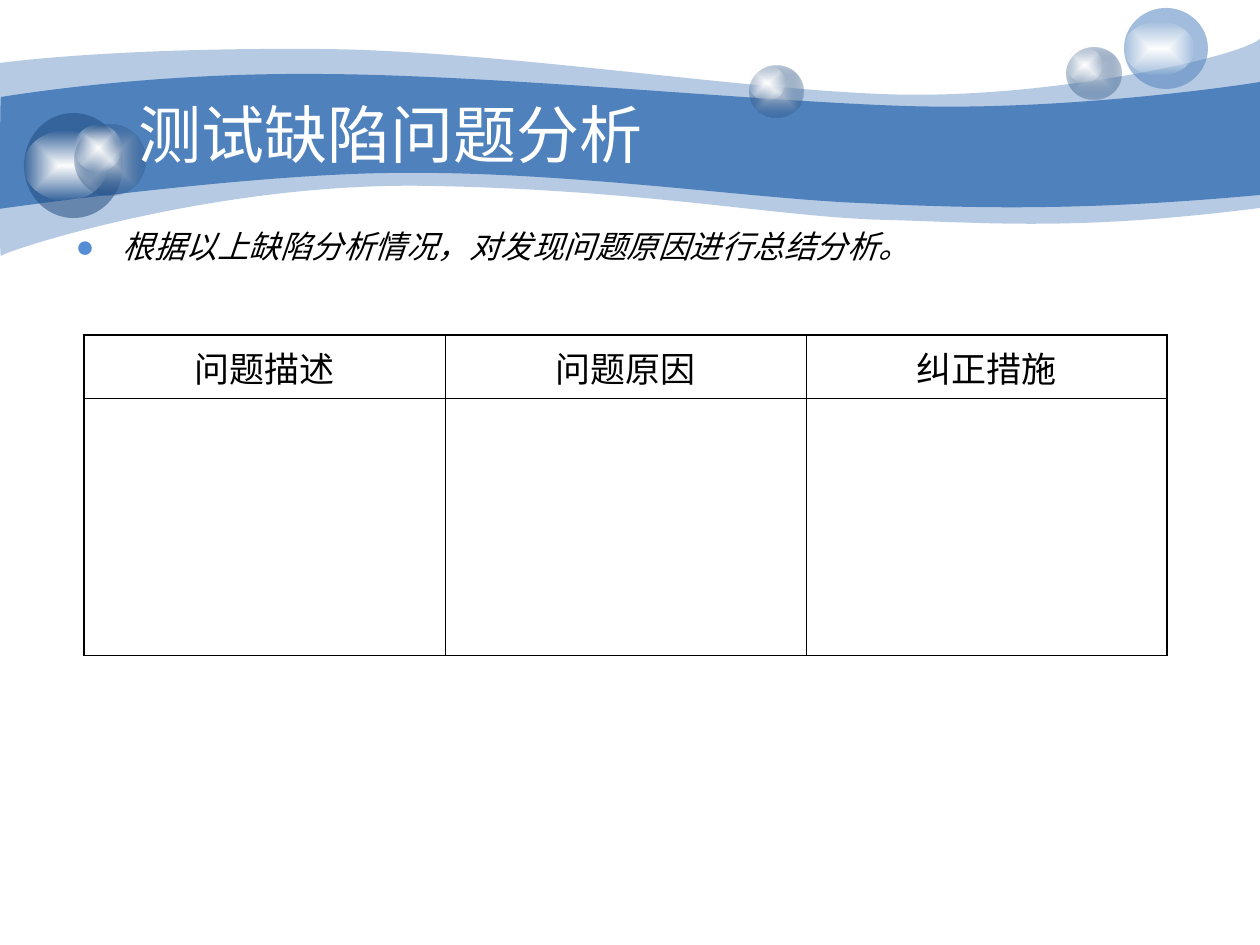
from dataclasses import dataclass

from lxml.etree import SubElement
from pptx import Presentation
from pptx.dml.color import RGBColor
from pptx.enum.shapes import MSO_SHAPE as Shape
from pptx.enum.text import MSO_ANCHOR as Anchor, MSO_AUTO_SIZE as AutoSize, PP_ALIGN as Align
from pptx.oxml import parse_xml
from pptx.oxml.ns import nsdecls, qn
from pptx.util import Emu, Pt

EMU_PER_PX = 914400 / 126


def px(length):
    return Emu(round(length * EMU_PER_PX))


@dataclass(frozen=True)
class Theme:
    blue: str = "4F81BD"
    navy: str = "1F497D"
    mist: str = "C6D1DE"
    bullet: str = "558ED5"
    white: str = "FFFFFF"
    black: str = "000000"
    cjk: str = "Noto Sans CJK SC"
    latin: str = "Arial"
    title_size: int = 36
    body_size: int = 18
    header_size: int = 20
    outer_line: float = 1.08
    inner_line: float = 0.45


class SlideBuilder:
    def __init__(self, slide, theme):
        self.slide = slide
        self.theme = theme

    def solid(self, shape, color, alpha=100):
        shape.fill.solid()
        shape.fill.fore_color.rgb = RGBColor.from_string(color)
        if alpha < 100:
            node = shape.element.spPr.find(qn("a:solidFill"))[0]
            SubElement(node, qn("a:alpha")).set("val", str(alpha * 1000))

    def glow(self, shape, inner, outer, outer_alpha):
        shape.fill.background()
        gradient = parse_xml(
            f'<a:gradFill {nsdecls("a")} rotWithShape="1"><a:gsLst>'
            f'<a:gs pos="0"><a:srgbClr val="{inner}"/></a:gs>'
            f'<a:gs pos="100000"><a:srgbClr val="{outer}">'
            f'<a:alpha val="{outer_alpha * 1000}"/></a:srgbClr></a:gs></a:gsLst>'
            '<a:path path="rect"><a:fillToRect l="50000" t="50000" r="50000" b="50000"/>'
            '</a:path></a:gradFill>')
        properties = shape.element.spPr
        properties.replace(properties.find(qn("a:noFill")), gradient)

    def wave(self, start, segments, alpha=100):
        """A closed outline: three points make a curve, one point a line."""
        builder = self.slide.shapes.build_freeform(px(start[0]), px(start[1]), scale=1.0)
        builder.add_line_segments([(px(x), px(y)) for segment in segments for x, y in segment],
                                  close=True)
        band = builder.convert_to_shape()
        steps = iter(list(band.element.iter(qn("a:lnTo"))))
        for segment in segments:
            first, *others = [next(steps) for _ in segment]
            if others:
                first.tag = qn("a:cubicBezTo")
            for step in others:
                first.append(step[0])
                step.getparent().remove(step)
        band.shadow.inherit = False
        band.line.fill.background()
        self.solid(band, self.theme.blue, alpha)

    def ellipse(self, group, *box):
        oval = group.shapes.add_shape(Shape.OVAL, *map(px, box))
        oval.shadow.inherit = False
        oval.line.fill.background()
        return oval

    def highlight(self, group, *box):
        self.glow(self.ellipse(group, *box), self.theme.white, self.theme.white, 0)

    def glass_bubble(self, left, top, width, height):
        group = self.slide.shapes.add_group_shape()
        ball = self.ellipse(group, left, top, width, height)
        self.glow(ball, self.theme.mist, self.theme.navy, 31)
        self.highlight(group, left, top, width * 2 / 3, height * 2 / 3)

    def flat_bubble(self, left, top, width, height, color):
        group = self.slide.shapes.add_group_shape()
        self.solid(self.ellipse(group, left, top, width, height), color, 53)
        self.highlight(group, left, top + height / 6, width * 0.84, height * 2 / 3)

    def style(self, paragraph, latin, color, **formats):
        run = paragraph.runs[0]
        for name, value in {"name": latin, **formats}.items():
            setattr(run.font, name, value)
        run.font.color.rgb = RGBColor.from_string(color)
        SubElement(run.font._element, qn("a:ea")).set("typeface", self.theme.cjk)

    def placeholder(self, holder, box, text, anchor):
        for name, value in zip(("left", "top", "width", "height"), box):
            setattr(holder, name, px(value))
        frame = holder.text_frame
        formats = {"text": text, "word_wrap": True, "auto_size": AutoSize.NONE,
                   "vertical_anchor": anchor}
        for name, value in formats.items():
            setattr(frame, name, value)
        self.slide.shapes.element.append(holder.element)  # bring to the front
        paragraph = frame.paragraphs[0]
        paragraph.alignment = Align.LEFT
        paragraph.space_before = Pt(0)
        return paragraph

    def title(self, box, text):
        paragraph = self.placeholder(self.slide.shapes.title, box, text, Anchor.MIDDLE)
        self.style(paragraph, self.theme.cjk, self.theme.white, size=Pt(self.theme.title_size))

    def bullet(self, box, text, indent):
        paragraph = self.placeholder(self.slide.placeholders[1], box, text, Anchor.TOP)
        properties = paragraph._p.get_or_add_pPr()
        properties.set("marL", str(px(indent)))
        properties.set("indent", str(-px(indent)))
        color = SubElement(properties, qn("a:buClr"))
        SubElement(color, qn("a:srgbClr")).set("val", self.theme.bullet)
        SubElement(properties, qn("a:buFont")).set("typeface", self.theme.latin)
        SubElement(properties, qn("a:buChar")).set("char", "●")
        self.style(paragraph, self.theme.cjk, self.theme.black,
                   size=Pt(self.theme.body_size), italic=True)

    def borders(self, cell, outer_sides):
        properties = cell._tc.get_or_add_tcPr()
        for index, side in enumerate("LRTB"):
            outer = outer_sides[side]
            width = Pt(self.theme.outer_line if outer else self.theme.inner_line)
            properties.insert(index, parse_xml(
                f'<a:ln{side} {nsdecls("a")} w="{width}"><a:solidFill>'
                f'<a:srgbClr val="{self.theme.black}"/></a:solidFill></a:ln{side}>'))

    def table(self, left, top, column_width, row_heights, headers):
        rows, columns = len(row_heights), len(headers)
        grid = self.slide.shapes.add_table(
            rows, columns, px(left), px(top),
            px(column_width * columns), px(sum(row_heights))).table
        grid.first_row = grid.horz_banding = False
        for row, height in zip(grid.rows, row_heights):
            row.height = px(height)
        for r in range(rows):
            for c in range(columns):
                cell = grid.cell(r, c)
                cell.fill.background()
                self.borders(cell, {"L": c == 0, "R": c == columns - 1,
                                    "T": r == 0, "B": r == rows - 1})
        for c, header in enumerate(headers):
            cell = grid.cell(0, c)
            cell.text = header
            paragraph = cell.text_frame.paragraphs[0]
            paragraph.alignment = Align.CENTER
            self.style(paragraph, self.theme.latin, self.theme.black,
                       size=Pt(self.theme.header_size))


def main():
    deck = Presentation()
    deck.slide_width, deck.slide_height = px(1260), px(945)
    theme = Theme()
    page = SlideBuilder(deck.slides.add_slide(deck.slide_layouts[1]), theme)

    # Banner: pale wave behind, solid wave in front
    page.wave((0, 63), [
        [(30, 59), (135, 48), (311, 49)], [(486, 49), (725, 88), (881, 94)],
        [(1036, 101), (1235, 59), (1260, 39)], [(1260, 208)],
        [(1079, 231), (992, 223), (888, 220)], [(784, 218), (649, 190), (432, 186)],
        [(217, 181), (5, 251), (1, 256)], [(-1, 262), (0, 94), (0, 63)]], alpha=41)
    page.wave((1, 97), [
        [(3, 97), (139, 73), (312, 74)], [(486, 74), (750, 101), (905, 106)],
        [(1060, 111), (1230, 87), (1260, 82)], [(1260, 195)],
        [(1075, 212), (964, 208), (859, 203)], [(755, 199), (563, 171), (399, 173)],
        [(256, 173), (-3, 209), (-1, 209)], [(0, 209), (0, 97), (1, 97)]])

    # Bubbles
    page.glass_bubble(1067, 48, 54, 51)
    page.flat_bubble(1124, 8, 84, 81, theme.blue)
    page.flat_bubble(24, 113, 99, 105, theme.navy)
    page.glass_bubble(75, 125, 70, 70)
    page.glass_bubble(749, 66, 54, 51)

    # Heading and summary
    page.title((126, 94, 1018, 78), "测试缺陷问题分析")
    page.bullet((63, 221, 1134, 118), "根据以上缺陷分析情况，对发现问题原因进行总结分析。", indent=47)

    # Problem table
    page.table(84, 335, 361, (58, 257), ("问题描述", "问题原因", "纠正措施"))

    deck.save("out.pptx")


if __name__ == "__main__":
    main()
